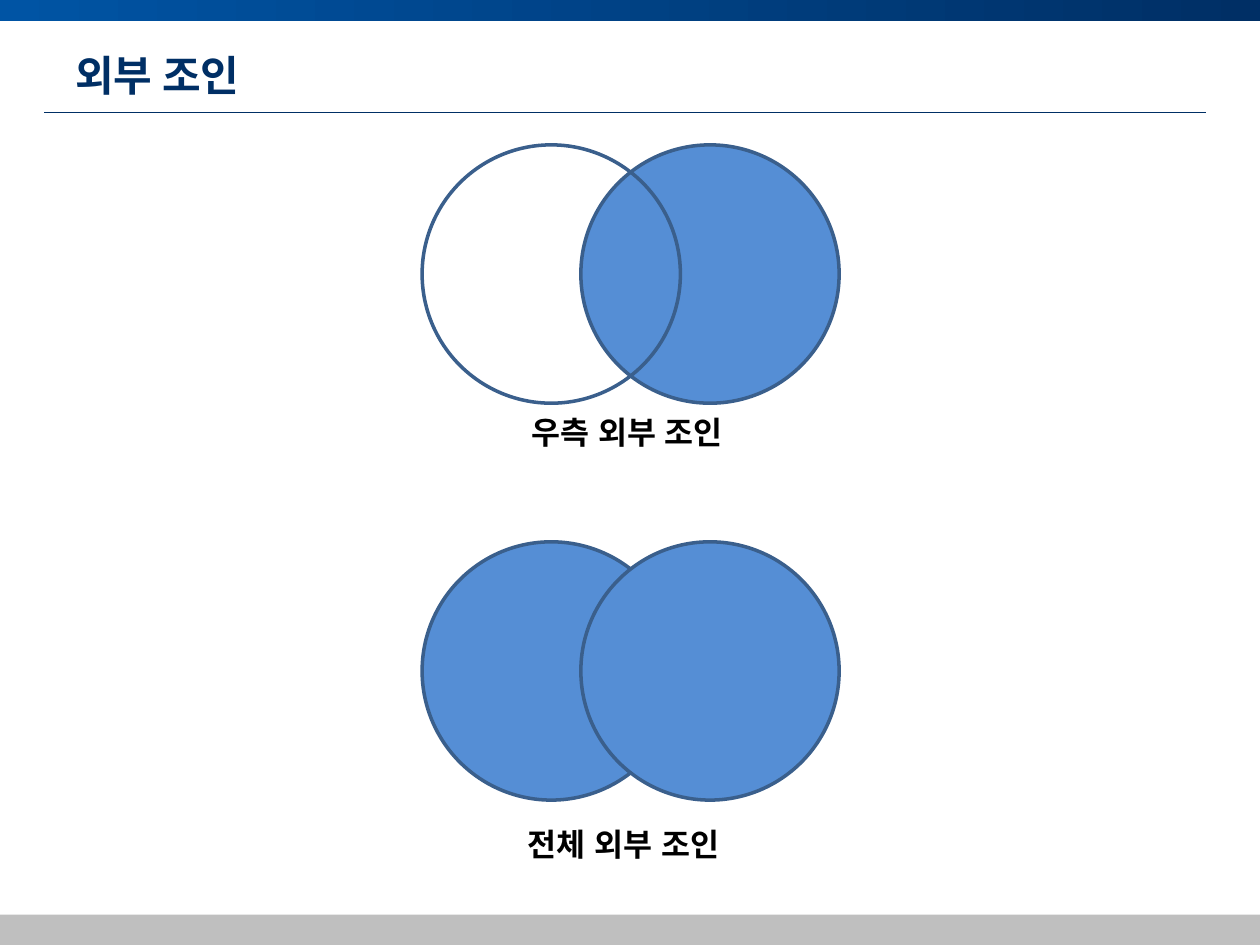
from dataclasses import dataclass
from typing import Optional

from lxml.etree import SubElement
from pptx import Presentation
from pptx.dml.color import RGBColor
from pptx.enum.shapes import MSO_CONNECTOR as Connector, MSO_SHAPE as Preset
from pptx.enum.text import MSO_ANCHOR as Anchor
from pptx.oxml.ns import qn
from pptx.util import Inches, Pt

NAVY = RGBColor(0x00, 0x2F, 0x65)
ROYAL = RGBColor(0x00, 0x54, 0xA4)
GRAY = RGBColor(0xBF, 0xBF, 0xBF)
BLUE = RGBColor(0x55, 0x8E, 0xD5)
OUTLINE = RGBColor(0x3A, 0x5F, 0x8C)
BLACK = RGBColor(0x00, 0x00, 0x00)

DIAMETER = 2.05
LEFT_X, RIGHT_X = 3.35, 4.61


@dataclass
class Label:
    text: str
    left: float
    top: float
    width: float
    height: float
    size: int = 18
    font: str = "Arial"
    color: RGBColor = BLACK
    anchor: Anchor = Anchor.TOP


@dataclass
class Circle:
    left: float
    fill: Optional[RGBColor] = BLUE


@dataclass
class Venn:
    top: float
    circles: list[Circle]
    caption: Label


def add_label(page, label: Label) -> None:
    box = page.shapes.add_textbox(
        Inches(label.left), Inches(label.top), Inches(label.width), Inches(label.height)
    )
    frame = box.text_frame
    frame.word_wrap = True
    frame.vertical_anchor = label.anchor
    para = frame.paragraphs[0]
    para.text = label.text
    font = para.font
    font.name, font.size, font.bold = label.font, Pt(label.size), True
    font.color.rgb = label.color
    defaults = para._p.pPr.find(qn("a:defRPr"))
    SubElement(defaults, qn("a:ea")).set("typeface", label.font)


def add_bar(page, top: float, height: float):
    bar = page.shapes.add_shape(
        Preset.RECTANGLE, 0, Inches(top), Inches(10), Inches(height)
    )
    bar.shadow.inherit = False
    bar.line.fill.background()
    return bar


def add_frame(page) -> None:
    header = add_bar(page, 0, 0.17)
    header.fill.gradient()
    header.fill.gradient_angle = 0
    for stop, color, position in zip(header.fill.gradient_stops, (ROYAL, NAVY), (0, 1)):
        stop.color.rgb = color
        stop.position = position

    rule = page.shapes.add_connector(
        Connector.STRAIGHT, Inches(0.35), Inches(0.89), Inches(9.57), Inches(0.89)
    )
    rule.line.color.rgb = NAVY
    rule.line.width = Pt(0.5)
    SubElement(rule._element.spPr, qn("a:effectLst"))

    footer = add_bar(page, 7.26, 0.25)
    footer.fill.solid()
    footer.fill.fore_color.rgb = GRAY


def add_venn(page, venn: Venn) -> None:
    group = page.shapes.add_group_shape()
    for circle in venn.circles:
        oval = group.shapes.add_shape(
            Preset.OVAL, Inches(circle.left), Inches(venn.top),
            Inches(DIAMETER), Inches(DIAMETER),
        )
        oval.shadow.inherit = False
        if circle.fill is None:
            oval.fill.background()
        else:
            oval.fill.solid()
            oval.fill.fore_color.rgb = circle.fill
        oval.line.color.rgb = OUTLINE
        oval.line.width = Pt(2)
    add_label(page, venn.caption)


TITLE = Label("외부 조인", 0.5, 0.3, 9, 0.58, 24, "Noto Sans CJK KR", NAVY, Anchor.MIDDLE)
VENNS = [
    Venn(1.15, [Circle(RIGHT_X), Circle(LEFT_X, None)],
         Label("우측 외부 조인", 4.12, 3.23, 2.05, 0.4)),
    Venn(4.3, [Circle(LEFT_X), Circle(RIGHT_X)],
         Label("전체 외부 조인", 4.09, 6.5, 1.98, 0.4)),
]

deck = Presentation()
deck.slide_width, deck.slide_height = Inches(10), Inches(7.5)
page = deck.slides.add_slide(deck.slide_layouts[6])
add_frame(page)
add_label(page, TITLE)
for venn in VENNS:
    add_venn(page, venn)
deck.save("out.pptx")
